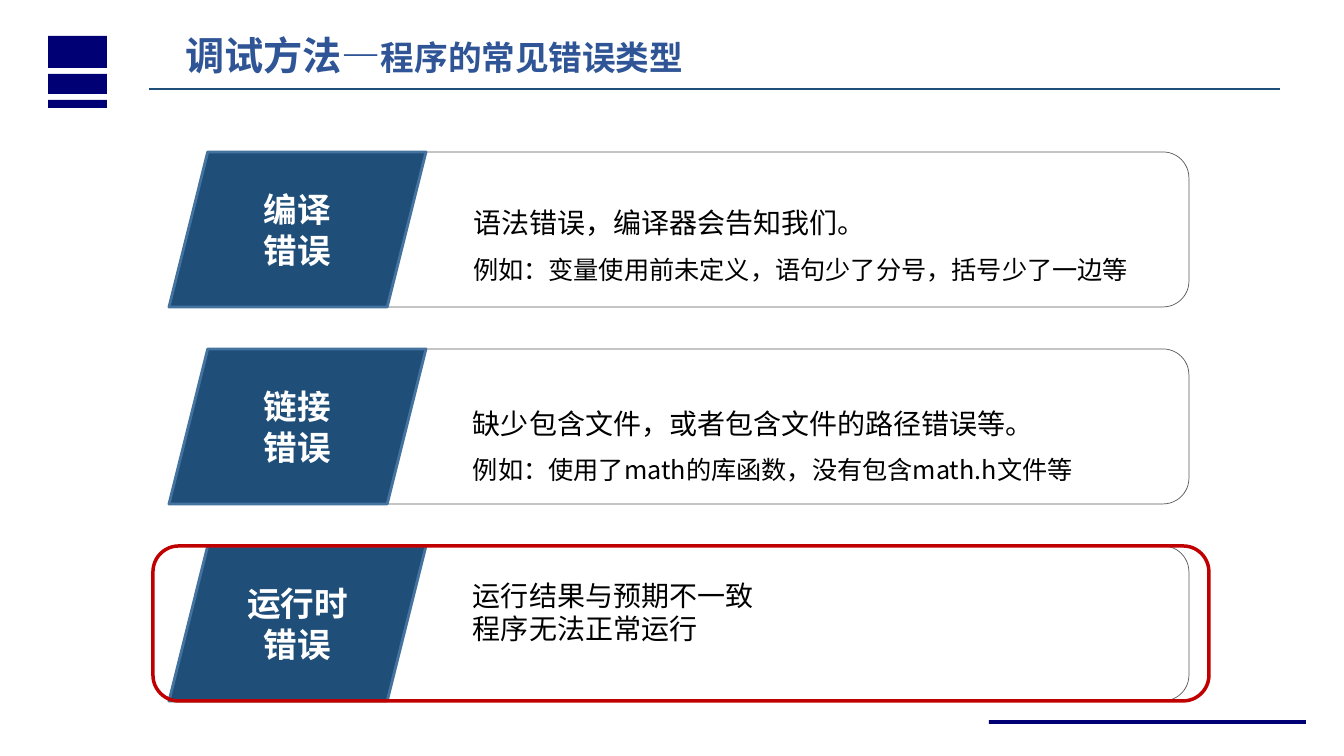
import pptx
import pptx.dml.color
import pptx.enum.shapes
import pptx.enum.text
import pptx.oxml.ns
import pptx.util
from lxml import etree

PX = 914400 / 100.8
FONT = "Noto Sans CJK SC"
SHAPE = pptx.enum.shapes.MSO_SHAPE
ALIGN = pptx.enum.text.PP_ALIGN
ANCHOR = pptx.enum.text.MSO_ANCHOR
GROW = pptx.enum.text.MSO_AUTO_SIZE.SHAPE_TO_FIT_TEXT
NO_MARGINS = dict(margin_left=0, margin_top=0, margin_right=0, margin_bottom=0)

NAVY, TITLE_BLUE, STEEL, EDGE = "000074", "2F5597", "1F4E79", "43739E"
GREY, RED, BLACK, WHITE = "595959", "C00000", "000000", "FFFFFF"

ERROR_TYPES = [
    dict(label=["编译", "错误"], offset=37, width=702, height=91, lines=[
        ("语法错误，编译器会告知我们。", 20, 1.5),
        ("例如：变量使用前未定义，语句少了分号，括号少了一边等", 18, 1.5)]),
    dict(label=["链接", "错误"], offset=57, width=666, height=114, lines=[
        ("缺少包含文件，或者包含文件的路径错误等。", 20, None),
        ("例如：使用了math的库函数，没有包含math.h文件等", 18, 1.5)]),
    dict(label=["运行时", "错误"], offset=32, width=666, height=68, lines=[
        ("运行结果与预期不一致", 20, None),
        ("程序无法正常运行", 20, None)]),
]


def px(*lengths):
    """Turn pixel lengths into EMU."""
    return [round(length * PX) for length in lengths]


def rgb(value):
    """Turn a hex string into a colour."""
    return pptx.dml.color.RGBColor.from_string(value)


def apply(target, formats):
    """Set every attribute in a dict of format values."""
    for name, value in formats.items():
        setattr(target, name, value)


def add_run(paragraph, text, size, colour, bold=False):
    """Add a run whose Latin and East Asian fonts agree."""
    run = paragraph.add_run()
    run.text = text
    apply(run.font, dict(size=pptx.util.Pt(size), bold=bold, name=FONT))
    run.font.color.rgb = rgb(colour)
    properties = run.font._element
    etree.SubElement(properties, pptx.oxml.ns.qn("a:ea"), typeface=FONT)


def next_paragraph(frame, index):
    """Give the first paragraph, or append one."""
    return frame.add_paragraph() if index else frame.paragraphs[0]


def add_figure(shapes, kind, box, fill=None, line=None, weight=1):
    """Add a preset shape without shadow."""
    figure = shapes.add_shape(kind, *px(*box))
    figure.shadow.inherit = False
    if fill:
        figure.fill.solid()
        figure.fill.fore_color.rgb = rgb(fill)
    else:
        figure.fill.background()
    if line:
        figure.line.color.rgb = rgb(line)
        figure.line.width = pptx.util.Pt(weight)
    else:
        figure.line.fill.background()
    return figure


def add_decoration(shapes):
    """Draw the navy bars at the corners."""
    for bar in [(48, 36, 59, 32), (48, 74, 59, 20),
                (48, 100, 59, 8), (989, 720, 317, 4)]:
        add_figure(shapes, SHAPE.RECTANGLE, bar, NAVY)


def add_heading(shapes, left, top, width, height):
    """Fill the title and rule a line below it."""
    title = shapes.title
    apply(title, dict(zip(("left", "top", "width", "height"),
                          px(left, top, width, height))))
    apply(title.text_frame, dict(word_wrap=True, auto_size=GROW,
                                 vertical_anchor=ANCHOR.TOP))
    heading = title.text_frame.paragraphs[0]
    heading.alignment = ALIGN.LEFT
    add_run(heading, "调试方法—", 28, TITLE_BLUE, True)
    add_run(heading, "程序的常见错误类型", 24, TITLE_BLUE, True)

    rule_y = top + height + 5
    rule = shapes.add_connector(pptx.enum.shapes.MSO_CONNECTOR.STRAIGHT,
                                *px(left - 26, rule_y, 1280, rule_y))
    rule.line.color.rgb = rgb(STEEL)
    rule.line.width = pptx.util.Pt(1.25)
    etree.SubElement(rule._element.spPr, pptx.oxml.ns.qn("a:effectLst"))


def add_error_type(shapes, left, top, width, height, error):
    """Group one error type: frame, explanation and slanted label."""
    parts = shapes.add_group_shape().shapes
    add_figure(parts, SHAPE.ROUNDED_RECTANGLE,
               (left + 172, top, width - 172, height), line=GREY, weight=0.5)

    explanation = parts.add_textbox(
        *px(left + 304, top + error["offset"], error["width"], error["height"]))
    frame = explanation.text_frame
    apply(frame, dict(NO_MARGINS, word_wrap=True, auto_size=GROW))
    for index, (text, size, spacing) in enumerate(error["lines"]):
        paragraph = next_paragraph(frame, index)
        paragraph.line_spacing = spacing
        add_run(paragraph, text, size, BLACK)

    label = add_figure(parts, SHAPE.PARALLELOGRAM, (left, top, 257, height),
                       STEEL, EDGE, 2)
    label.text_frame.vertical_anchor = ANCHOR.MIDDLE
    for index, text in enumerate(error["label"]):
        paragraph = next_paragraph(label.text_frame, index)
        paragraph.alignment = ALIGN.CENTER
        add_run(paragraph, text, 24, WHITE, True)


def add_error_list(shapes, left, top, width, height, pitch):
    """Stack the error types and outline the last one in red."""
    for index, error in enumerate(ERROR_TYPES):
        row_top = top + index * pitch
        add_error_type(shapes, left, row_top, width, height, error)
    add_figure(shapes, SHAPE.ROUNDED_RECTANGLE,
               (left - 16, row_top, width + 36, height), line=RED, weight=2.5)


def main():
    """Build and save the slide."""
    deck = pptx.Presentation()
    deck.slide_width, deck.slide_height = px(1344, 756)
    shapes = deck.slides.add_slide(deck.slide_layouts[5]).shapes
    add_decoration(shapes)
    add_heading(shapes, 175, 26, 574, 58)
    add_error_list(shapes, 169, 152, 1020, 155, 197)
    deck.save("out.pptx")


if __name__ == "__main__":
    main()
